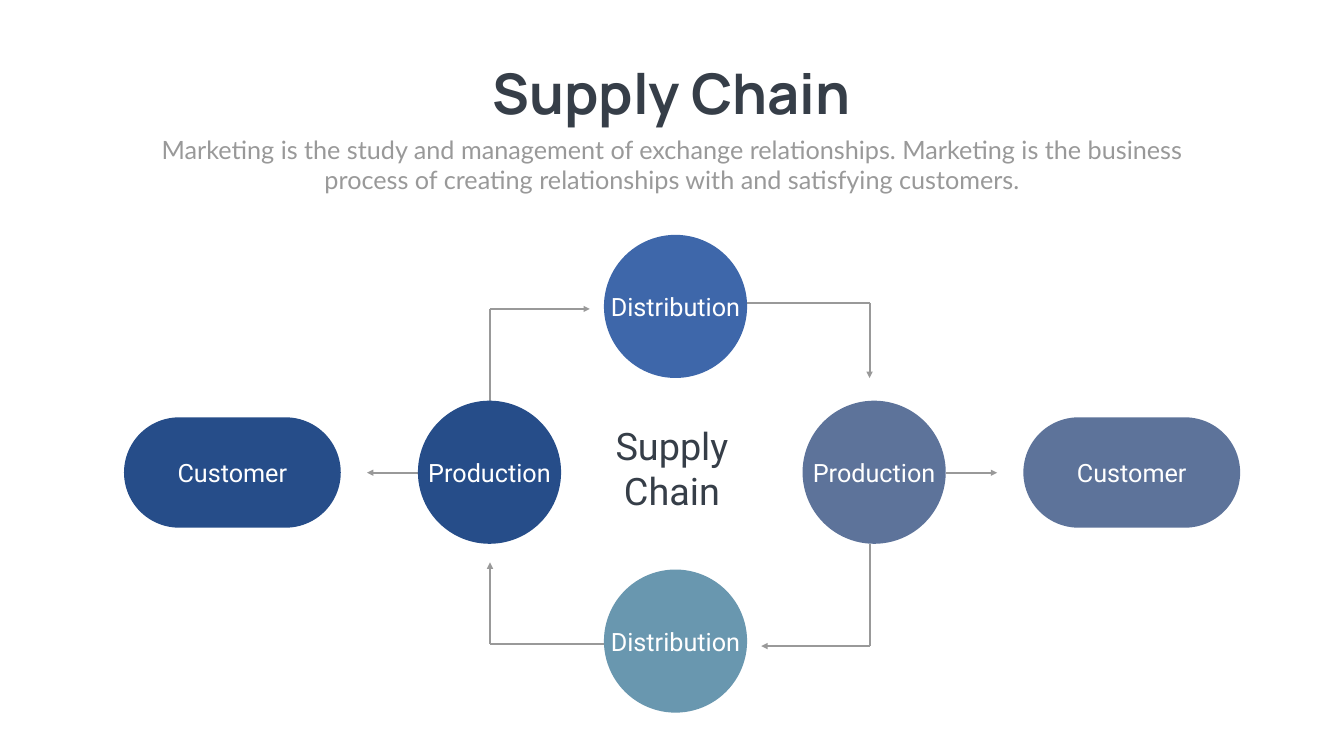
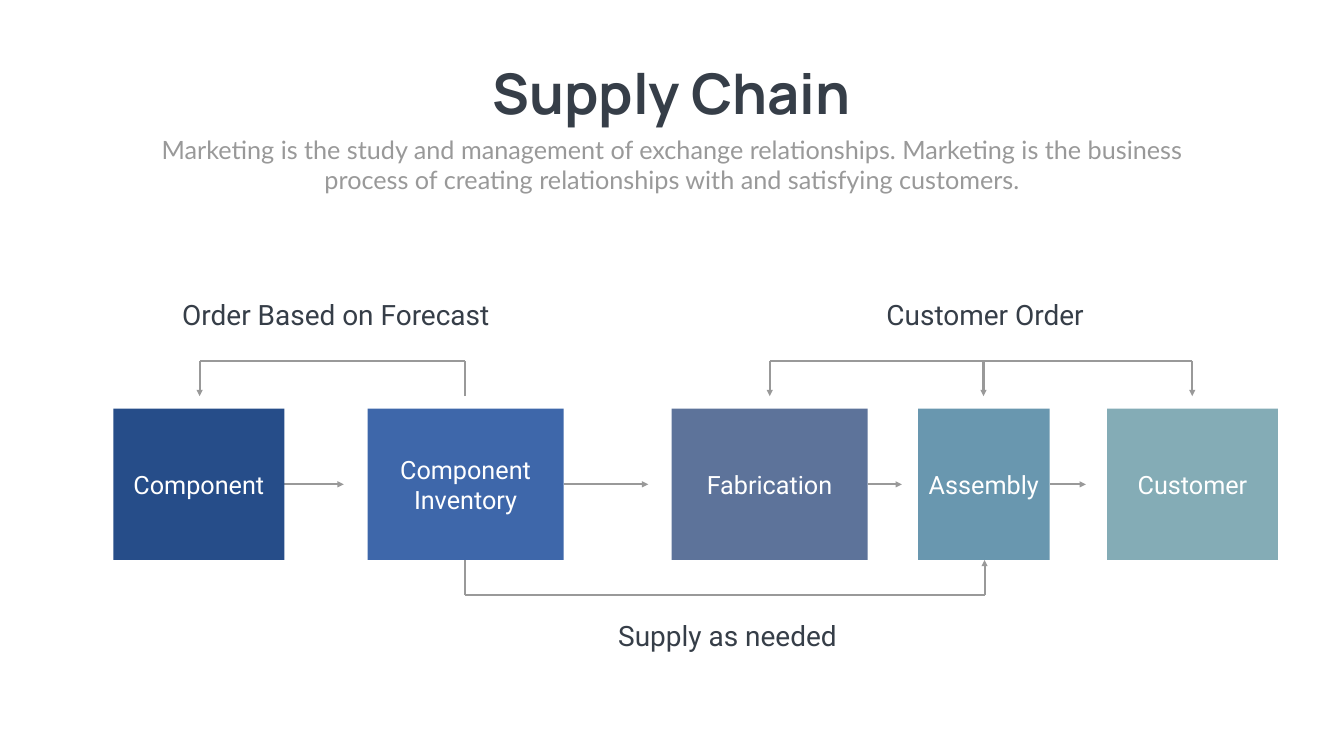
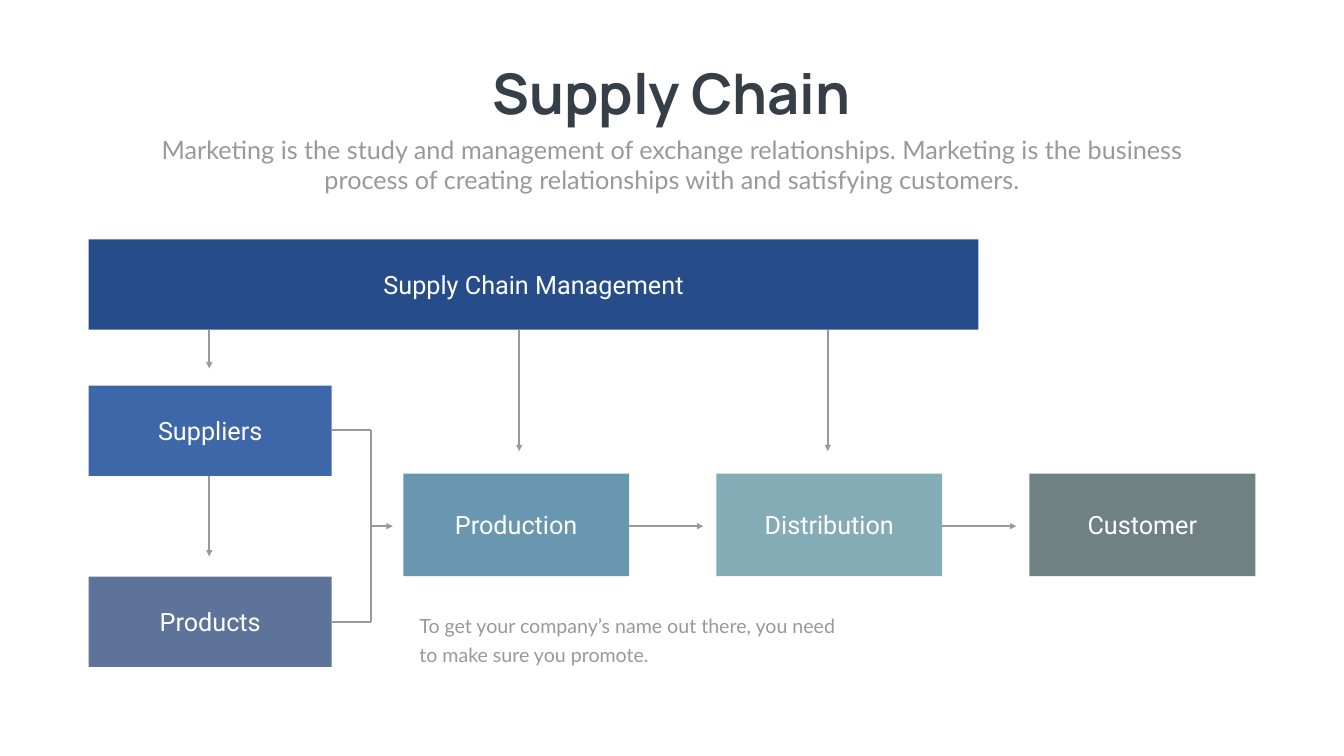
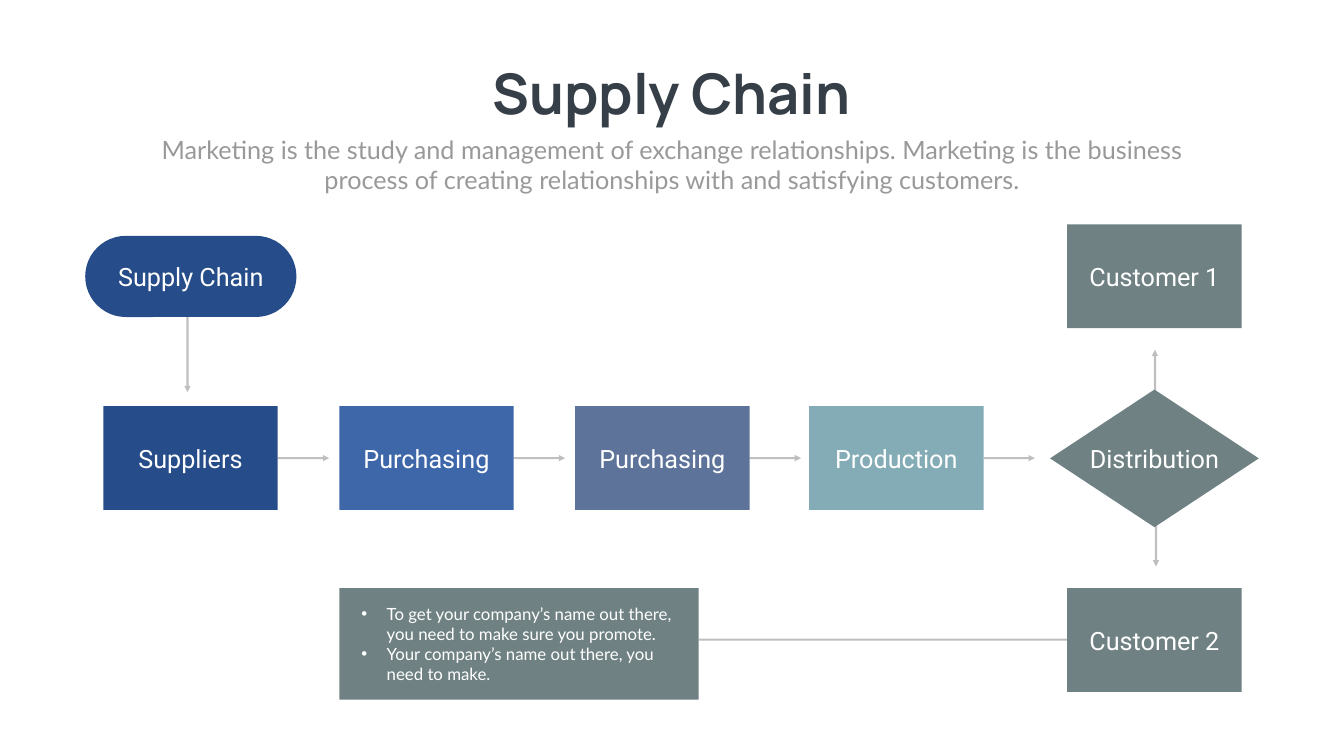
"""Build four supply chain diagram slides."""
from dataclasses import dataclass
from itertools import pairwise
from typing import Any

from lxml.etree import SubElement
from pptx import Presentation
from pptx.dml.color import RGBColor
from pptx.enum.shapes import MSO_CONNECTOR, MSO_SHAPE as Kind
from pptx.enum.text import MSO_ANCHOR as Anchor, MSO_AUTO_SIZE as Fit, PP_ALIGN as Align
from pptx.oxml.ns import qn
from pptx.util import Emu, Pt

PX = 9144
HUES = {
    "ink": "363E48", "gray": "999999", "mid": "808080", "white": "FFFFFF",
    "navy": "264D89", "blue": "3E67AA", "slate": "5D739A",
    "teal": "6997AF", "mint": "84ACB6", "moss": "6F8183",
}
FONTS = {
    "title": ("ink", {"name": "Manrope", "size": Pt(80), "bold": True}),
    "lead": ("gray", {"name": "Lato", "size": Pt(36)}),
    "node": ("white", {"name": "Roboto", "size": Pt(36)}),
    "label": ("ink", {"name": "Roboto", "size": Pt(40)}),
    "hub": ("ink", {"name": "Roboto", "size": Pt(54)}),
    "note": ("gray", {"name": "Lato", "size": Pt(28)}),
    "list": ("white", {"name": "Lato", "size": Pt(24)}),
}
TITLE = "Supply Chain"
LEAD = ("Marketing is the study and management of exchange relationships. "
        "Marketing is the business process of creating relationships with "
        "and satisfying customers.")


def hue(name):
    """Return the named colour."""
    return RGBColor.from_string(HUES[name])


def paint(shape, name):
    """Fill a shape with a named colour."""
    shape.fill.solid()
    shape.fill.fore_color.rgb = hue(name)


def move(shape, *box):
    """Place a shape at left, top, width and height in px."""
    for key, val in zip(("left", "top", "width", "height"), box):
        setattr(shape, key, Emu(val * PX))


def write(shape, style, *lines, wrap=True, align=Align.CENTER,
          anchor=Anchor.TOP, bullet=None, lead=None):
    """Fill a shape with formatted paragraphs."""
    frame = shape.text_frame
    frame.text = "\n".join(lines)
    for key, val in {"word_wrap": wrap, "auto_size": Fit.NONE,
                     "vertical_anchor": anchor}.items():
        setattr(frame, key, val)
    shade, font = FONTS[style]
    for para in frame.paragraphs:
        props = para._p.get_or_add_pPr()
        gap = 50 * PX if bullet else 0
        props.set("marL", str(gap))
        props.set("indent", str(-gap))
        mark = SubElement(props, qn("a:buChar" if bullet else "a:buNone"))
        if bullet:
            mark.set("char", bullet)
        for key, val in {"alignment": align, "space_before": Pt(0),
                         "line_spacing": lead}.items():
            setattr(para, key, val)
        for run in para.runs:
            run.font.color.rgb = hue(shade)
            for key, val in font.items():
                setattr(run.font, key, val)


@dataclass
class Pane:
    """A region of a slide whose parts are placed from its corner."""
    slide: Any
    left: int
    top: int
    shade: str = "gray"
    alpha: int = 100

    def spot(self, x, y, *size):
        """Turn region px into slide px."""
        return self.left + x, self.top + y, *size

    def node(self, text, fill, box, kind=Kind.RECTANGLE):
        """Draw a filled shape with a centred label."""
        shape = self.slide.shapes.add_shape(kind, 0, 0, 0, 0)
        move(shape, *self.spot(*box))
        paint(shape, fill)
        shape.line.fill.background()
        shape.shadow.inherit = False
        if kind == Kind.ROUNDED_RECTANGLE:
            shape.adjustments[0] = 0.5
        write(shape, "node", text, wrap=kind == Kind.RECTANGLE, anchor=Anchor.MIDDLE)

    def text(self, text, style, box, **opts):
        """Add a text box."""
        shape = self.slide.shapes.add_textbox(0, 0, 0, 0)
        move(shape, *self.spot(*box))
        write(shape, style, text, **opts)

    def wire(self, *spots, arrow=True):
        """Join spots with straight lines, the last one with an arrowhead."""
        for start, end in pairwise(spots):
            ends = [Emu(v * PX) for v in self.spot(*start) + self.spot(*end)]
            link = self.slide.shapes.add_connector(MSO_CONNECTOR.STRAIGHT, *ends)
            link.line.color.rgb = hue(self.shade)
            link.line.width = Pt(3)
            props = link._element.spPr
            line = props.find(qn("a:ln"))
            if self.alpha < 100:
                tint = line.find(".//" + qn("a:srgbClr"))
                SubElement(tint, qn("a:alpha")).set("val", str(self.alpha * 1000))
            if arrow and end == spots[-1]:
                SubElement(line, qn("a:tailEnd")).set("type", "triangle")
            SubElement(props, qn("a:effectLst"))


def head(deck, layout=1):
    """Add a slide with its title and lead text."""
    slide = deck.slides.add_slide(deck.slide_layouts[layout])
    title, body = slide.shapes.title, slide.placeholders[1]
    move(title, 937, 112, 791, 145)
    write(title, "title", TITLE, wrap=False)
    move(body, 292, 261, 2082, 131)
    write(body, "lead", LEAD)
    return slide


def ring(pane):
    """Draw the cycle of circles with a customer on each side."""
    mid, size, west, east = 472, 284, 726, 1479
    pane.wire((1236, 135), (east, 135), (east, 284))
    pane.wire((east, 613), (east, 816), (1264, 816))
    pane.wire((952, 811), (west, 811), (west, 650))
    pane.wire((west, 365), (west, 147), (924, 147))
    pane.wire((1631, mid), (1732, mid))
    pane.wire((583, mid), (482, mid))
    for x, fill in (0, "navy"), (1784, "slate"):
        pane.node("Customer", fill, (x, 362, 430, 219), Kind.ROUNDED_RECTANGLE)
    for text, fill, x, y in (
            ("Distribution", "blue", 952, 0), ("Distribution", "teal", 952, 664),
            ("Production", "navy", 583, 329), ("Production", "slate", 1346, 329)):
        pane.node(text, fill, (x, y, size, size), Kind.OVAL)
    pane.text(TITLE, "hub", (910, 368, 354, 192))


def flow(pane):
    """Draw the row of stages with order brackets above and supply below."""
    rail, tip, top, high = 130, 200, 225, 300
    mid, base, low = top + high // 2, top + high, 594
    stock, build = 698, 1728
    pane.wire((stock, tip), (stock, rail), (171, rail), (171, tip))
    pane.wire((1302, rail), (2140, rail), arrow=False)
    for x in 1302, 1726, 2140:
        pane.wire((x, rail), (x, tip))
    pane.wire((stock, base), (stock, low), (build, low), (build, base))
    for text, fill, x, wide, reach in (
            ("Component", "navy", 0, 339, 118),
            ("Component Inventory", "blue", 504, 389, 168),
            ("Fabrication", "slate", 1107, 389, 68),
            ("Assembly", "teal", 1596, 261, 72),
            ("Customer", "mint", 1971, 339, 0)):
        if reach:
            pane.wire((x + wide, mid), (x + wide + reach, mid))
        pane.node(text, fill, (x, top, wide, high))
    for text, x, y, wide in (("Order Based on Forecast", 120, 0, 642),
                             ("Customer Order", 1519, 0, 420),
                             ("Supply as needed", 987, 636, 462)):
        pane.text(text, "label", (x, y, wide, 77), wrap=False)


def tree(pane):
    """Draw the management bar over its sources and stages."""
    wide, high, mid, stem = 482, 179, 569, 560
    for x, y in (239, 256), (854, 420), (1466, 420):
        pane.wire((x, high), (x, y))
    pane.wire((239, 469), (239, 629))
    pane.wire((wide, 379), (stem, 379), (stem, 759), (wide, 759), arrow=False)
    pane.wire((stem, mid), (603, mid))
    pane.node("Supply Chain Management", "navy", (0, 0, 1765, high))
    pane.node("Suppliers", "blue", (0, 290, wide, high))
    pane.node("Products", "slate", (0, 669, wide, high))
    stages = ("Production", "teal"), ("Distribution", "mint"), ("Customer", "moss")
    for i, (text, fill) in enumerate(stages):
        x = 624 + 621 * i
        if i < 2:
            pane.wire((x + 448, mid), (x + 595, mid))
        pane.node(text, fill, (x, 465, 448, 203))
    pane.text("To get your company’s name out there, you need to make sure you promote.",
              "note", (646, 729, 852, 119), align=Align.LEFT, lead=Pt(40.8))


def fork(pane):
    """Draw the chain of steps that splits to two customers."""
    wide, high, mid, last = 346, 206, 464, 1948
    pane.wire((203, 184), (203, 333))
    pane.wire((2122, 333), (2122, 249))
    pane.wire((2124, 595), (2124, 679))
    pane.wire((last, 824), (1217, 824), arrow=False)
    for text, fill, x in (("Suppliers", "navy", 36), ("Purchasing", "blue", 504),
                          ("Purchasing", "slate", 972), ("Production", "mint", 1436)):
        pane.wire((x + wide, mid), (x + wide + 102, mid))
        pane.node(text, fill, (x, 361, wide, high))
    pane.node(TITLE, "navy", (0, 23, 419, 161), Kind.ROUNDED_RECTANGLE)
    pane.node("Distribution", "moss", (1914, 328, 414, 273), Kind.DIAMOND)
    for text, y in ("Customer 1", 0), ("Customer 2", 722):
        pane.node(text, "moss", (last, y, wide, high))
    note = pane.slide.placeholders[2]
    move(note, *pane.spot(504, 722, 713, 221))
    paint(note, "moss")
    write(note, "list",
          "To get your company’s name out there, you need to make sure you promote.",
          "Your company’s name out there, you need to make.",
          align=Align.LEFT, anchor=Anchor.MIDDLE, bullet="•")
    for key in "margin_left", "margin_right":
        setattr(note.text_frame, key, Emu(44 * PX))


def main():
    """Build and save the deck."""
    deck = Presentation()
    deck.slide_width, deck.slide_height = Emu(2666 * PX), Emu(1500 * PX)
    ring(Pane(head(deck), 246, 466))
    flow(Pane(head(deck), 225, 586))
    tree(Pane(head(deck), 176, 475))
    fork(Pane(head(deck, layout=3), 169, 445, "mid", 50))
    deck.save("out.pptx")


if __name__ == "__main__":
    main()
